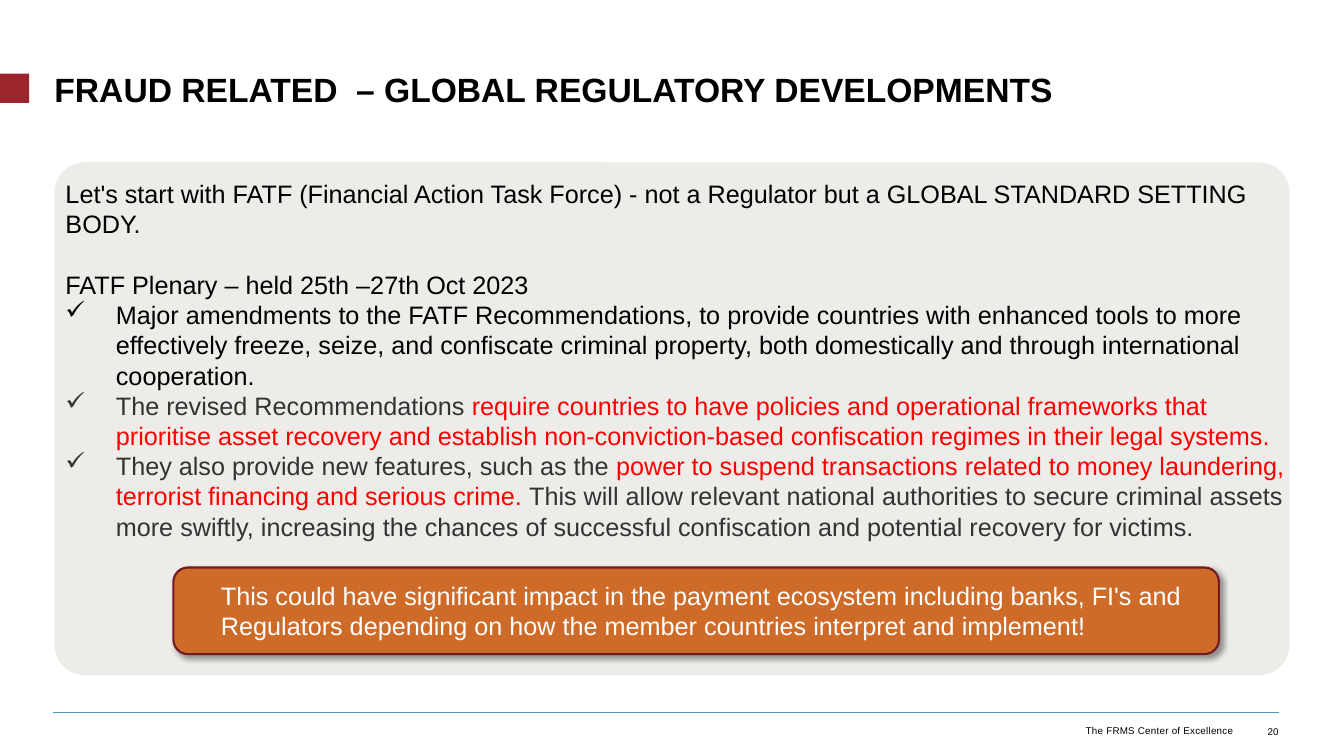
from dataclasses import dataclass

from lxml import etree
from pptx import Presentation
from pptx.dml.color import RGBColor
from pptx.enum import shapes, text
from pptx.oxml import parse_xml
from pptx.oxml.ns import nsdecls, qn
from pptx.util import Inches, Pt

HUES = {
    "black": "000000", "white": "FFFFFF", "gray": "333333", "alert": "FF0000",
    "mark": "9B242D", "rule": "5393AB", "panel": "EEECE9",
    "call": "CE6B29", "edge": "741B22", "shade": "000000",
}
KIND = shapes.MSO_SHAPE
SIDE = text.PP_ALIGN
HOLD = text.MSO_ANCHOR


@dataclass
class Run:
    words: str
    hue: str = "black"


@dataclass
class Para:
    runs: list[Run]
    tick: bool = False
    gap: float = 0


@dataclass
class Box:
    """Place of an element: left, top, width, height in inches."""
    left: float
    top: float
    wide: float
    high: float

    def place(self) -> list[int]:
        return [Inches(v) for v in (self.left, self.top, self.wide, self.high)]


@dataclass
class Style:
    size: float = 18
    bold: bool = False
    side: SIDE = SIDE.LEFT
    hold: HOLD = HOLD.TOP
    pads: tuple[float, float, float, float] = (0, 0, 0, 0)
    lead: float = 0
    track: int = 0


BODY = [
    Para([Run("Let's start with FATF (Financial Action Task Force) - not a Regulator "
              "but a GLOBAL STANDARD SETTING BODY.")]),
    Para([Run("FATF Plenary – held 25th –27th Oct 2023")], gap=21.6),
    Para([Run("Major amendments to the FATF Recommendations, to provide countries with "
              "enhanced tools to more effectively freeze, seize, and confiscate criminal "
              "property, both domestically and through international cooperation.")],
         tick=True),
    Para([Run("The revised Recommendations ", "gray"),
          Run("require countries to have policies and operational frameworks that "
              "prioritise asset recovery and establish non-conviction-based "
              "confiscation regimes in their legal systems.", "alert")], tick=True),
    Para([Run("They also provide new features, such as the ", "gray"),
          Run("power to suspend transactions related to money laundering, terrorist "
              "financing and serious crime. ", "alert"),
          Run("This will allow relevant national authorities to secure criminal assets "
              "more swiftly, increasing the chances of successful confiscation and "
              "potential recovery for victims.", "gray")], tick=True),
]
CALL = [Para([Run("This could have significant impact in the payment ecosystem including "
                  "banks, FI's and Regulators depending on how the member countries "
                  "interpret and implement!", "white")])]
LABELS = [
    (Box(0.54, 0.71, 12.15, 0.32),
     [Para([Run("FRAUD RELATED  – GLOBAL REGULATORY DEVELOPMENTS")])],
     Style(24, bold=True, hold=HOLD.MIDDLE, lead=30.7)),
    (Box(12.08, 7.14, 0.6, 0.23), [Para([Run("20")])],
     Style(7, side=SIDE.RIGHT, hold=HOLD.MIDDLE, pads=(0, 0.05, 0, 0.05))),
    (Box(7.83, 7.14, 4.5, 0.23), [Para([Run("The FRMS Center of Excellence")])],
     Style(7, side=SIDE.RIGHT, pads=(0.1, 0.05, 0.1, 0.05), track=20)),
    (Box(0.65, 1.77, 12.14, 3.64), BODY, Style()),
]


def color(name: str) -> RGBColor:
    return RGBColor.from_string(HUES[name])


def write(frame, paras: list[Para], style: Style) -> None:
    frame.word_wrap = True
    frame.vertical_anchor = style.hold
    (frame.margin_left, frame.margin_top,
     frame.margin_right, frame.margin_bottom) = [Inches(v) for v in style.pads]
    for i, item in enumerate(paras):
        para = frame.add_paragraph() if i else frame.paragraphs[0]
        para.alignment = style.side
        if item.gap:
            para.space_before = Pt(item.gap)
        if style.lead:
            para.line_spacing = Pt(style.lead)
        if item.tick:
            props = para._p.get_or_add_pPr()
            props.set("marL", str(Inches(0.5)))
            props.set("indent", str(Inches(-0.5)))
            etree.SubElement(props, qn("a:buChar")).set("char", "✓")
        for part in item.runs:
            run = para.add_run()
            run.text = part.words
            run.font.name = "Arial"
            run.font.size = Pt(style.size)
            run.font.bold = style.bold
            run.font.color.rgb = color(part.hue)
            if style.track:
                run._r.get_or_add_rPr().set("spc", str(style.track))


def block(slide, kind: KIND, box: Box, fill: str, edge: str = ""):
    shape = slide.shapes.add_shape(kind, *box.place())
    shape.shadow.inherit = False
    shape.fill.solid()
    shape.fill.fore_color.rgb = color(fill)
    if edge:
        shape.line.color.rgb = color(edge)
        shape.line.width = Pt(1.5)
    else:
        shape.line.fill.background()
    return shape


def shade(shape) -> None:
    """Cast a soft shadow to the lower right."""
    glow = shape._element.spPr.find(qn("a:effectLst"))
    glow.append(parse_xml(
        f'<a:outerShdw {nsdecls("a")} blurRad="{Pt(4)}" dist="{Pt(3)}" dir="2700000" '
        f'algn="tl" rotWithShape="0"><a:srgbClr val="{HUES["shade"]}">'
        '<a:alpha val="40000"/></a:srgbClr></a:outerShdw>'))


def rule(slide, left: float, right: float, top: float) -> None:
    line = slide.shapes.add_connector(
        shapes.MSO_CONNECTOR.STRAIGHT,
        Inches(left), Inches(top), Inches(right), Inches(top))
    line.line.color.rgb = color("rule")
    line.line.width = Pt(0.5)
    etree.SubElement(line._element.spPr, qn("a:effectLst"))


def main() -> None:
    deck = Presentation()
    deck.slide_width, deck.slide_height = Inches(13.33), Inches(7.5)
    slide = deck.slides.add_slide(deck.slide_layouts[6])

    block(slide, KIND.RECTANGLE, Box(0, 0.73, 0.29, 0.29), "mark")
    rule(slide, 0.53, 12.69, 7.07)
    panel = block(slide, KIND.ROUNDED_RECTANGLE, Box(0.54, 1.61, 12.25, 5.09), "panel")
    panel.adjustments[0] = 0.06
    for box, paras, style in LABELS:
        label = slide.shapes.add_textbox(*box.place())
        write(label.text_frame, paras, style)
    call = block(slide, KIND.ROUNDED_RECTANGLE, Box(1.72, 5.63, 10.37, 0.86),
                 "call", "edge")
    shade(call)
    write(call.text_frame, CALL, Style(hold=HOLD.MIDDLE, pads=(0.43, 0.05, 0.1, 0.05)))
    deck.save("out.pptx")


if __name__ == "__main__":
    main()
